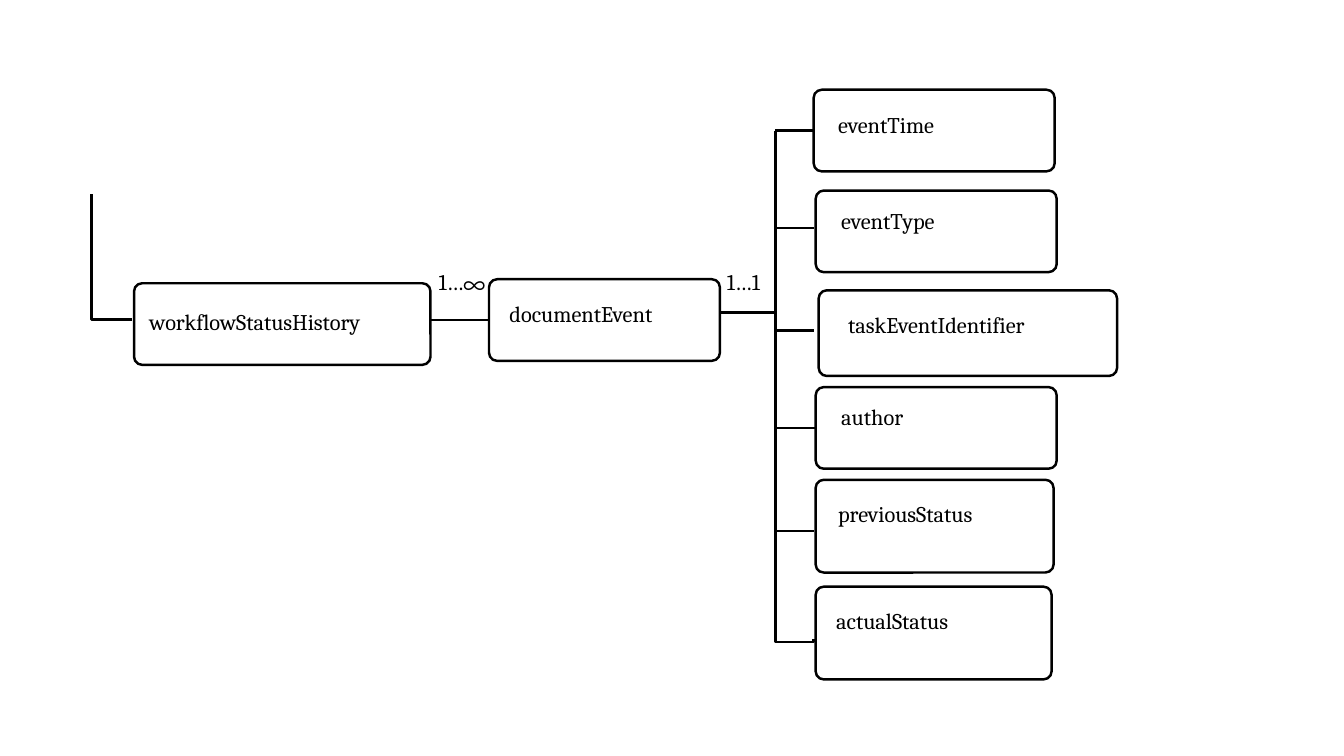
from lxml import etree
from pptx import Presentation
from pptx import util as u
from pptx.dml.color import RGBColor
from pptx.enum import shapes, text
from pptx.oxml import ns

PX = 9144  # 100 px to the inch
COLORS = {"ink": "000000"}
FONT = "Cambria"
RADIUS = 8
TRUNK_X = 769
BRANCH_END = 807

# name, box (left, top, width, height), label (left, top)
PARENTS = [
    ("workflowStatusHistory", (133, 281, 294, 81), (146, 303)),
    ("documentEvent", (485, 277, 229, 81), (503, 295)),
]
# the same, then the height at which the branch leaves the trunk
CHILDREN = [
    ("eventTime", (807, 89, 239, 81), (829, 108), 130),
    ("eventType", (809, 189, 239, 81), (832, 203), 226),
    ("taskEventIdentifier", (812, 288, 296, 85), (839, 306), 328),
    ("author", (809, 384, 239, 81), (832, 398), 424),
    ("previousStatus", (809, 476, 236, 92), (829, 494), 527),
]
LAST_CHILD = ("actualStatus", (809, 582, 234, 92), (827, 600))

# Bent lines, as points
BENDS = [
    [(131, 317), (91, 317), (91, 192)],
    [(807, 634), (807, 637), (TRUNK_X, 637), (TRUNK_X, 299)],
    [(TRUNK_X, 130), (TRUNK_X, 310), (714, 310), (714, 317)],
]

# text, left, top, width, font
CARDINALITIES = [
    ("1…", 435, 266, 29, FONT),
    ("∞", 460, 270, 22, "Noto Sans CJK JP"),
    ("1…1", 721, 266, 42, FONT),
]


def color(name):
    return RGBColor.from_string(COLORS[name])


def style_line(shape):
    shape.line.color.rgb = color("ink")
    shape.line.width = u.Pt(1.75)


def write(shape, content, font=FONT, left=0, top=0, wrap=True):
    frame = shape.text_frame
    frame.word_wrap = wrap
    frame.vertical_anchor = text.MSO_ANCHOR.TOP
    frame.margin_left, frame.margin_top = left * PX, top * PX
    frame.margin_right = frame.margin_bottom = 0
    frame.text = content
    paragraph = frame.paragraphs[0]
    paragraph.alignment = text.PP_ALIGN.LEFT
    for run in paragraph.runs:
        run.font.name = font
        run.font.size = u.Pt(16)
        run.font.color.rgb = color("ink")


def add_node(slide, name, box, label):
    left, top, width, height = box
    shape = slide.shapes.add_shape(
        shapes.MSO_SHAPE.ROUNDED_RECTANGLE, *(value * PX for value in box))
    shape.adjustments[0] = RADIUS / height
    shape.shadow.inherit = False
    shape.fill.background()
    style_line(shape)
    write(shape, name, left=label[0] - left, top=label[1] - top)
    return shape


def add_link(slide, start_x, end_x, y, target):
    connector = slide.shapes.add_connector(
        shapes.MSO_CONNECTOR.STRAIGHT, start_x * PX, y * PX, end_x * PX, y * PX)
    etree.SubElement(connector._element.spPr, ns.qn("a:effectLst"))
    style_line(connector)
    # Join only where the line meets the middle of the side
    middle = target.top + target.height // 2
    if abs(middle - y * PX) <= PX:
        connector.end_connect(target, 1)
        connector.begin_y = connector.end_y


def add_bend(slide, points):
    builder = slide.shapes.build_freeform(*points[0], scale=PX)
    builder.add_line_segments(points[1:], close=False)
    shape = builder.convert_to_shape()
    shape.shadow.inherit = False
    shape.fill.background()
    style_line(shape)


def add_cardinality(slide, content, left, top, width, font):
    box = slide.shapes.add_textbox(left * PX, top * PX, width * PX, 27 * PX)
    write(box, content, font, wrap=False)


def main():
    presentation = Presentation()
    presentation.slide_width = 1333 * PX
    presentation.slide_height = 750 * PX
    slide = presentation.slides.add_slide(presentation.slide_layouts[6])

    # Parent elements
    history, event = [add_node(slide, *parent) for parent in PARENTS]
    add_link(slide, 427, 485, 317, event)

    # Child elements on the trunk
    for name, box, label, branch_y in CHILDREN:
        child = add_node(slide, name, box, label)
        add_link(slide, TRUNK_X, BRANCH_END, branch_y, child)
    add_node(slide, *LAST_CHILD)

    # Bent lines and cardinalities
    for points in BENDS:
        add_bend(slide, points)
    for cardinality in CARDINALITIES:
        add_cardinality(slide, *cardinality)

    presentation.save("out.pptx")


if __name__ == "__main__":
    main()
